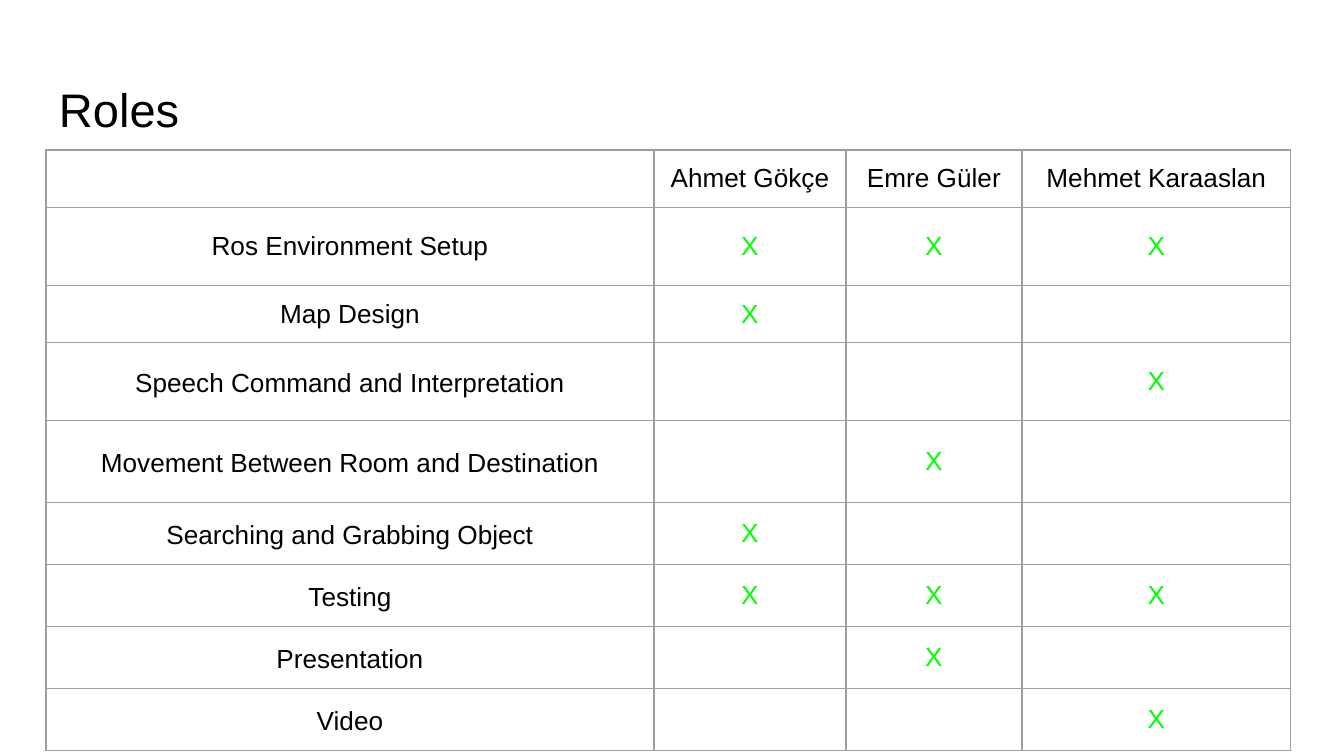
from lxml import etree
from pptx import Presentation
from pptx.dml.color import RGBColor
from pptx.enum.text import MSO_ANCHOR, PP_ALIGN
from pptx.oxml.ns import qn
from pptx.util import Pt

LEFT, MID = PP_ALIGN.LEFT, PP_ALIGN.CENTER
CENTER, BOTTOM = MSO_ANCHOR.MIDDLE, MSO_ANCHOR.BOTTOM
SCALE = 914400 / 134.4
COLORS = {"ink": "000000", "mark": "00FF00", "rule": "9E9E9E"}
NAMES = ["Ahmet Gökçe", "Emre Güler", "Mehmet Karaaslan"]
TASKS = [
    ("Ros Environment Setup", 78, (0, 1, 2), False),
    ("Map Design", 56, (0,), False),
    ("Speech Command and Interpretation", 78, (2,), True),
    ("Movement Between Room and Destination", 82, (1,), True),
    ("Searching and Grabbing Object", 60, (0,), True),
    ("Testing", 60, (0, 1, 2), True),
    ("Presentation", 60, (1,), True),
    ("Video", 60, (2,), True),
]
WIDTHS = [608, 192, 176, 269]


def px(n):
    return round(n * SCALE)


def write(frame, text, size=14, color="ink", align=MID, loose=False):
    para = frame.paragraphs[0]
    para.alignment = align
    if loose:
        para.line_spacing = 1.15
        para.space_before = para.space_after = Pt(12)
    if not text:
        etree.SubElement(para._p, qn("a:endParaRPr"), sz=str(size * 100))
        return
    run = para.add_run()
    run.text = text
    run.font.name = "Arial"
    run.font.size = Pt(size)
    run.font.color.rgb = RGBColor.from_string(COLORS[color])


class Page:
    def __init__(self, slide):
        self.slide = slide
        self.pad = px(13)

    def inset(self, item):
        item.margin_left = item.margin_right = self.pad
        item.margin_top = item.margin_bottom = self.pad

    def title(self, text, x, y, w, h):
        box = self.slide.shapes.add_textbox(px(x), px(y), px(w), px(h))
        frame = box.text_frame
        frame.word_wrap = True
        frame.vertical_anchor = BOTTOM
        self.inset(frame)
        write(frame, text, size=25.2, align=LEFT)

    def border(self, cell):
        props = cell._tc.get_or_add_tcPr()
        for side in ("lnL", "lnR", "lnT", "lnB"):
            line = etree.SubElement(props, qn("a:" + side), w=str(Pt(0.75)))
            fill = etree.SubElement(line, qn("a:solidFill"))
            etree.SubElement(fill, qn("a:srgbClr"), val=COLORS["rule"])

    def cell(self, cell, text, **style):
        self.inset(cell)
        cell.vertical_anchor = CENTER
        self.border(cell)
        cell.fill.background()
        write(cell.text_frame, text, **style)

    def grid(self, x, y, widths, heights):
        shape = self.slide.shapes.add_table(
            len(heights), len(widths), px(x), px(y),
            px(sum(widths)), px(sum(heights)))
        table = shape.table
        table.first_row = table.horz_banding = False
        for col, w in zip(table.columns, widths):
            col.width = px(w)
        for row, h in zip(table.rows, heights):
            row.height = px(h)
        return table


def main():
    deck = Presentation()
    deck.slide_width, deck.slide_height = px(1344), px(756)
    page = Page(deck.slides.add_slide(deck.slide_layouts[6]))
    page.title("Roles", 46, 66, 1253, 84)
    table = page.grid(46, 150, WIDTHS, [56] + [task[1] for task in TASKS])
    for c, name in enumerate([""] + NAMES):
        page.cell(table.cell(0, c), name)
    for r, (task, _, who, loose) in enumerate(TASKS, 1):
        page.cell(table.cell(r, 0), task, loose=loose)
        for c in range(len(NAMES)):
            mark = "X" if c in who else ""
            page.cell(table.cell(r, c + 1), mark, color="mark")
    deck.save("out.pptx")


if __name__ == "__main__":
    main()
